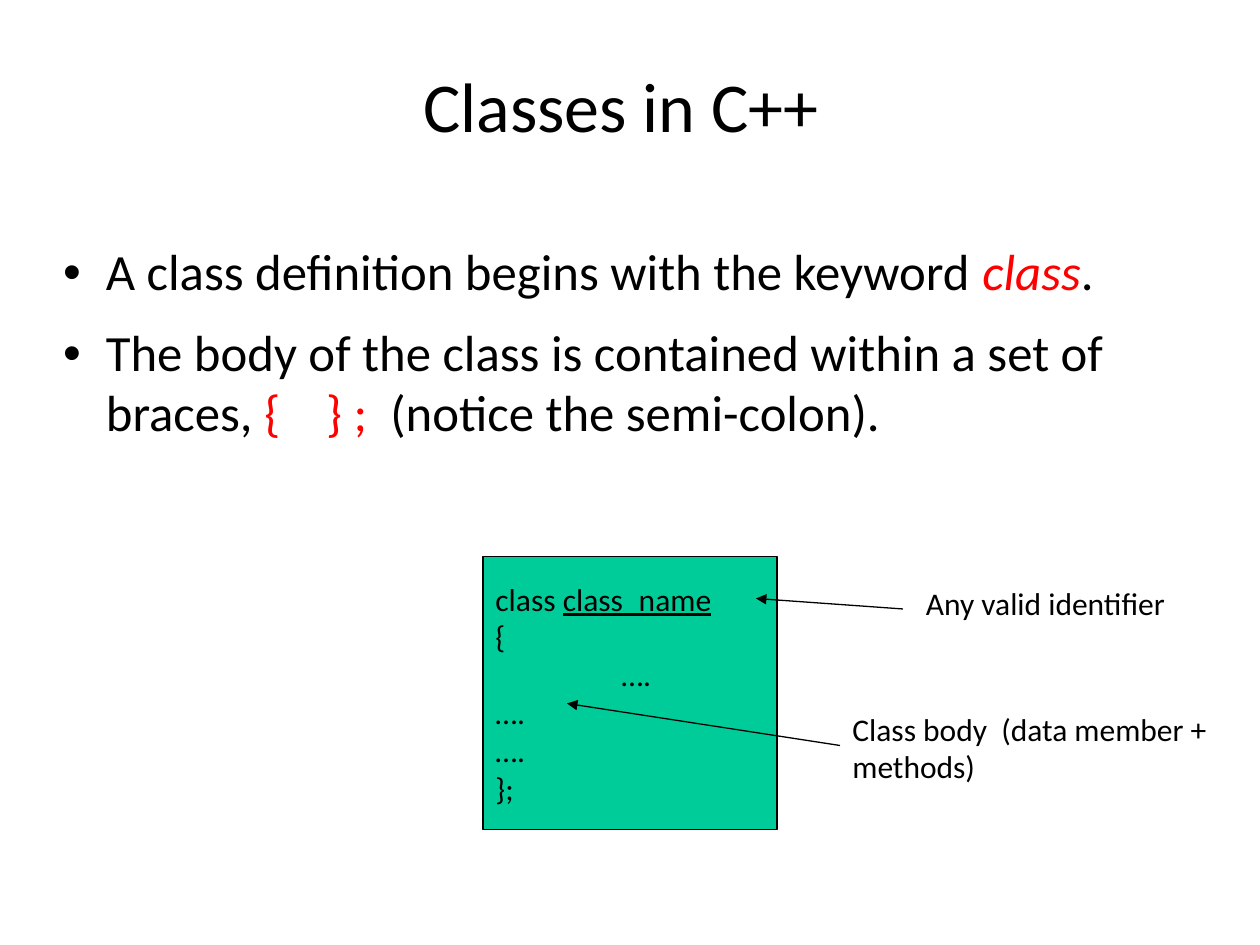
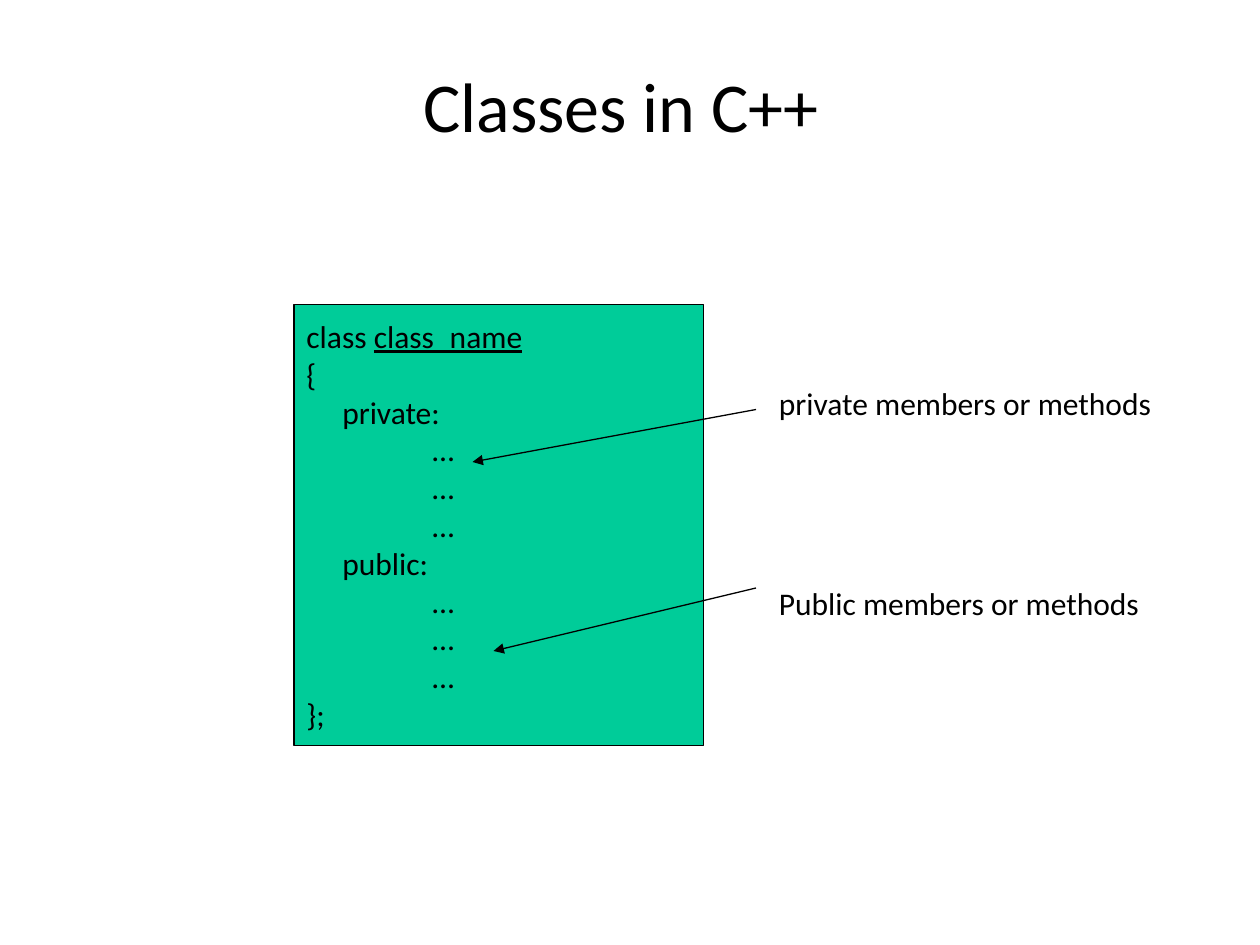
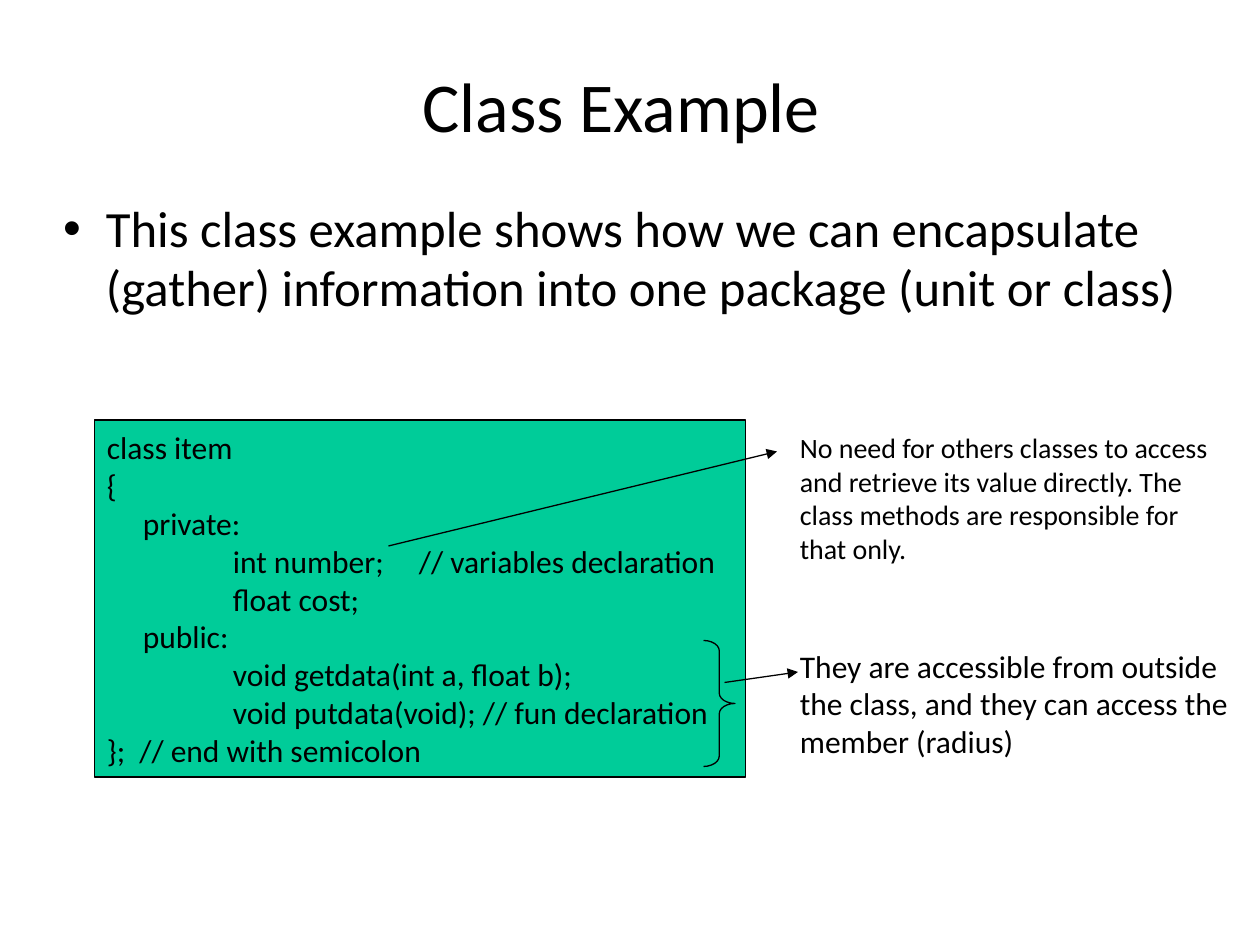
from dataclasses import dataclass

from pptx import Presentation
from pptx.dml.color import RGBColor
from pptx.enum.shapes import MSO_CONNECTOR as Connector, MSO_SHAPE as Shape
from pptx.enum.text import MSO_ANCHOR as Anchor, MSO_AUTO_SIZE as AutoSize, PP_ALIGN as Align
from pptx.oxml.ns import qn
from pptx.util import Pt
from lxml.etree import SubElement


@dataclass(frozen=True)
class Theme:
    """Colours, type sizes and measures shared by all pages."""
    font: str = "Calibri"
    ink: str = "000000"
    keyword: str = "FF0000"
    code_fill: str = "00CC99"
    title_size: float = 40
    list_size: float = 29
    code_size: float = 18
    small_size: float = 16
    line_width: float = 0.75
    line_spacing: float = 0.97
    list_gap: float = 12.9
    list_indent: float = 24.5
    label_indent: float = 20.5
    code_tabs: tuple = (72, 178.3)


THEME = Theme()
KEYWORD = {"color": THEME.keyword}
CLASS_HEAD = ["class ", ("class_name", {"underline": True})]
TITLE_ONLY, TITLE_AND_LIST = 5, 1


def assign(target, values):
    """Set each named attribute of the target."""
    for name, value in values.items():
        setattr(target, name, value)


def place(box, left, top, width, height):
    """Move and size a box, in points."""
    assign(box, {"left": Pt(left), "top": Pt(top), "width": Pt(width), "height": Pt(height)})


def set_margins(frame, left, top, right, bottom):
    """Set the inner margins of a text frame, in points."""
    assign(frame, {"margin_left": Pt(left), "margin_top": Pt(top),
                   "margin_right": Pt(right), "margin_bottom": Pt(bottom)})


def write_paragraphs(frame, lines, size):
    """Write one paragraph per line, each a string or a list of spans."""
    assign(frame, {"word_wrap": True, "auto_size": AutoSize.NONE})
    for index, line in enumerate(lines):
        para = frame.add_paragraph() if index else frame.paragraphs[0]
        for part in [line] if isinstance(line, str) else line:
            text, style = (part, {}) if isinstance(part, str) else part
            span = para.add_run()
            span.text = text
            values = {"name": THEME.font, "size": Pt(size), **style}
            color = values.pop("color", THEME.ink)
            assign(span.font, values)
            span.font.color.rgb = RGBColor.from_string(color)
    return frame.paragraphs


def draw_outline(line):
    """Give a line the shared colour and width."""
    line.color.rgb = RGBColor.from_string(THEME.ink)
    line.width = Pt(THEME.line_width)


def add_page(deck, title, layout):
    """Add a page with a centred title."""
    page = deck.slides.add_slide(deck.slide_layouts[layout])
    box = page.shapes.title
    place(box, 36, 21.6, 638, 80.6)
    box.text_frame.vertical_anchor = Anchor.MIDDLE
    set_margins(box.text_frame, 6.5, 3.6, 6.5, 3.6)
    for para in write_paragraphs(box.text_frame, [title], THEME.title_size):
        assign(para, {"alignment": Align.CENTER, "line_spacing": THEME.line_spacing})
    return page


def fill_list(page, top, height, items):
    """Fill the body placeholder with a bulleted list."""
    box = page.placeholders[1]
    place(box, 36, top, 638, height)
    set_margins(box.text_frame, 0, 12.2, 0, 0)
    for para in write_paragraphs(box.text_frame, items, THEME.list_size):
        assign(para, {"line_spacing": THEME.line_spacing, "space_before": Pt(0),
                      "space_after": Pt(THEME.list_gap)})
        properties = para._p.get_or_add_pPr()
        properties.set("marL", str(Pt(THEME.list_indent)))
        properties.set("indent", str(-Pt(THEME.list_indent)))


def add_code_box(page, left, top, width, height, lines):
    """Add a filled box of code with indented access labels."""
    box = page.shapes.add_shape(Shape.RECTANGLE, Pt(left), Pt(top), Pt(width), Pt(height))
    box.shadow.inherit = False
    box.fill.solid()
    box.fill.fore_color.rgb = RGBColor.from_string(THEME.code_fill)
    draw_outline(box.line)
    box.text_frame.vertical_anchor = Anchor.MIDDLE
    for para in write_paragraphs(box.text_frame, lines, THEME.code_size):
        para.alignment = Align.LEFT
        properties = para._p.get_or_add_pPr()
        if para.text.endswith(":"):
            properties.set("marL", str(Pt(THEME.label_indent)))
        elif "\t" in para.text:
            stops = SubElement(properties, qn("a:tabLst"))
            for stop in THEME.code_tabs:
                SubElement(stops, qn("a:tab"), pos=str(Pt(stop)), algn="l")


def add_note(page, left, top, width, height, lines, size=THEME.code_size):
    """Add a plain text note beside the code."""
    box = page.shapes.add_textbox(Pt(left), Pt(top), Pt(width), Pt(height))
    write_paragraphs(box.text_frame, lines, size)


def add_arrow(page, start, end):
    """Add a thin arrow with its head at the end point."""
    arrow = page.shapes.add_connector(Connector.STRAIGHT, *map(Pt, start + end))
    draw_outline(arrow.line)
    SubElement(arrow.line._get_or_add_ln(), qn("a:tailEnd"), type="triangle")
    SubElement(arrow._element.spPr, qn("a:effectLst"))


def add_brace(page, left, top, width, height):
    """Add a right brace that groups lines of code."""
    brace = page.shapes.add_shape(Shape.RIGHT_BRACE, Pt(left), Pt(top), Pt(width), Pt(height))
    brace.shadow.inherit = False
    brace.fill.background()
    brace.adjustments[0] = 0.33
    draw_outline(brace.line)


def build_definition(deck):
    """Build the page on the form of a class definition."""
    page = add_page(deck, "Classes in C++", TITLE_AND_LIST)
    fill_list(page, 126.7, 347, [
        ["A class definition begins with the keyword ", ("class", {**KEYWORD, "italic": True}), "."],
        ["The body of the class is contained within a set of braces, ",
         ("{    } ;", KEYWORD), "  (notice the semi-colon)."],
    ])
    add_code_box(page, 276, 318, 168, 156, [CLASS_HEAD, "{", "\t….", "….", "….", "};"])
    add_arrow(page, (480, 426), (324, 402))
    add_note(page, 480, 402, 240, 50.4, ["Class body  (data member + methods)"])
    add_arrow(page, (516, 348), (432, 342))
    add_note(page, 522, 330, 156, 50.4, ["Any valid identifier"])


def build_access(deck):
    """Build the page on private and public members."""
    page = add_page(deck, "Classes in C++", TITLE_ONLY)
    members = ["\t…"] * 3
    add_code_box(page, 168, 174, 234, 252,
                 [CLASS_HEAD, "{", "private:", *members, "public:", *members, "};"])
    add_arrow(page, (432, 234), (270, 264))
    add_note(page, 438, 216, 240, 29, ["private members or methods"])
    add_arrow(page, (432, 336), (282, 372))
    add_note(page, 438, 330, 240, 29, ["Public members or methods"])


def build_example(deck):
    """Build the page with a complete class."""
    page = add_page(deck, "Class Example", TITLE_AND_LIST)
    fill_list(page, 102, 371, ["This class example shows how we can encapsulate (gather) "
                               "information into one package (unit or class)"])
    add_code_box(page, 54, 240, 372, 204, [
        "class item", "{",
        "private:", "\tint number;\t// variables declaration", "\tfloat cost;",
        "public:", "\tvoid getdata(int a, float b);", "\tvoid putdata(void); // fun declaration",
        "};  // end with semicolon",
    ])
    add_arrow(page, (222, 312), (444, 258))
    add_note(page, 450, 242.6, 270, 103.7, [
        "No need for others classes to access and retrieve its value directly. The",
        "class methods are responsible for", "that only.",
    ], THEME.small_size)
    add_brace(page, 402, 366, 18, 72)
    add_arrow(page, (414, 390), (456, 384))
    add_note(page, 450, 366, 270, 72, [
        "They are accessible from outside", "the class, and they can access the", "member (radius)",
    ])


def main():
    """Build and save the deck."""
    deck = Presentation()
    assign(deck, {"slide_width": Pt(720), "slide_height": Pt(540)})
    for build in (build_definition, build_access, build_example):
        build(deck)
    deck.save("out.pptx")


if __name__ == "__main__":
    main()
